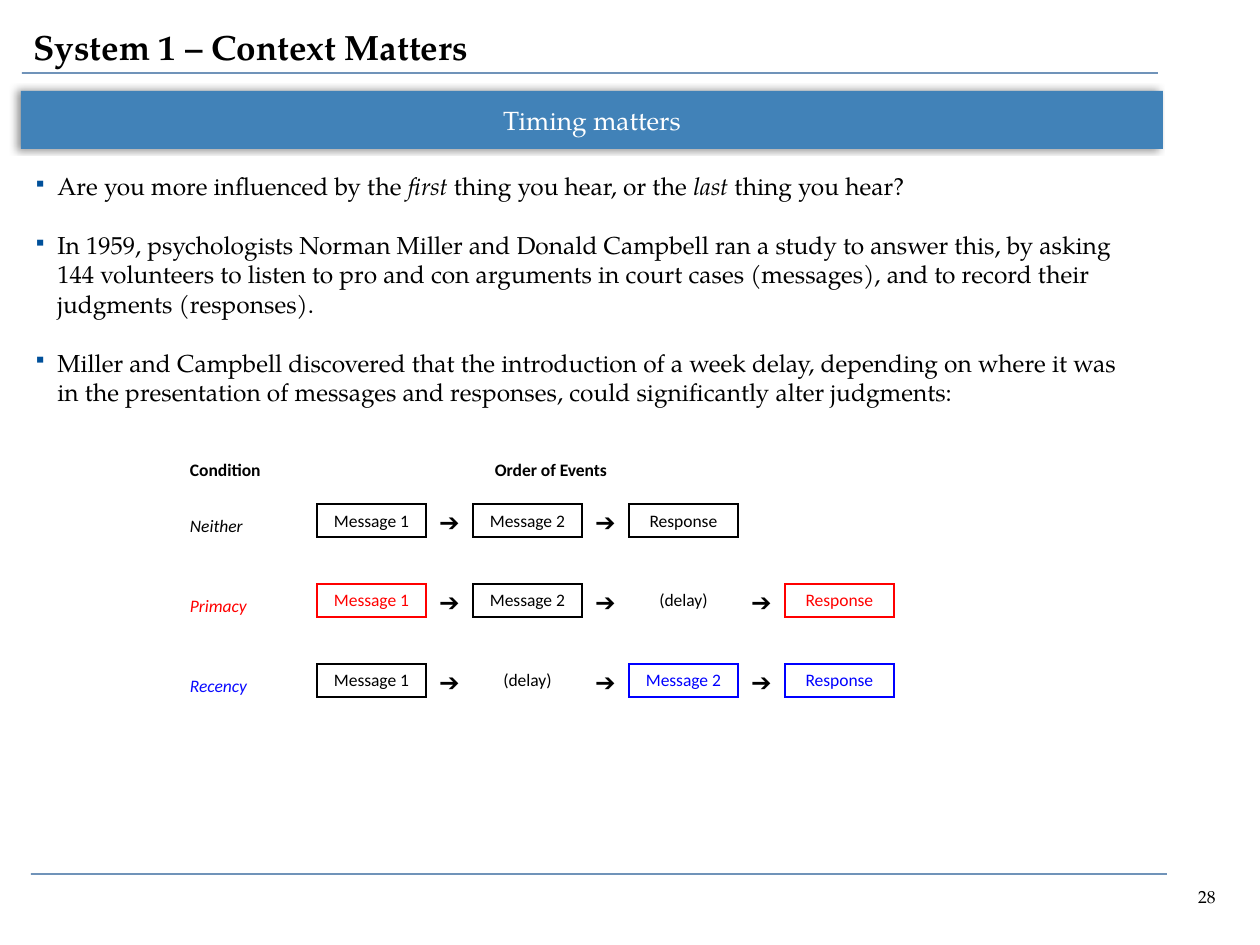
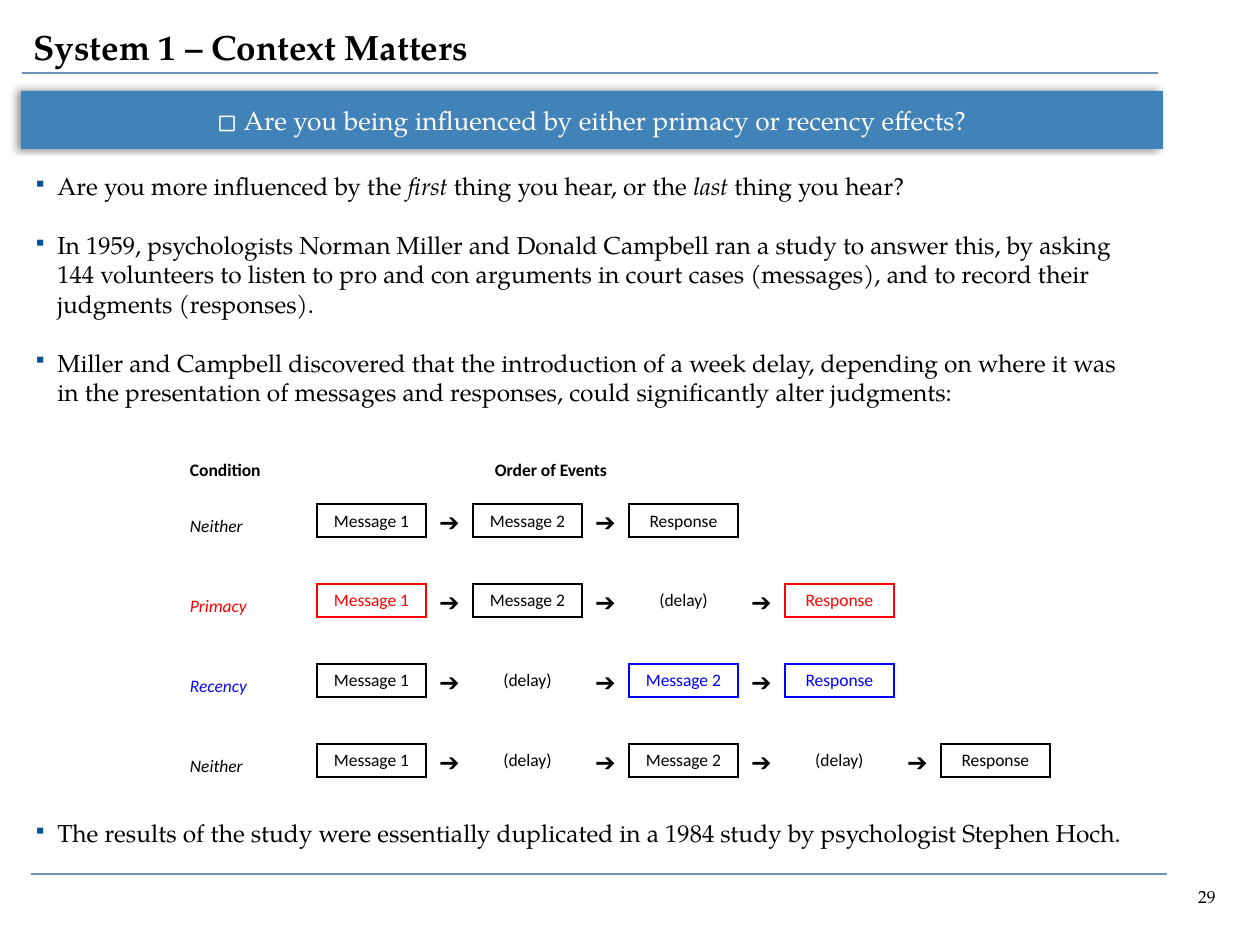
from lxml import etree
from pptx import Presentation
from pptx.dml.color import RGBColor
from pptx.enum.shapes import MSO_CONNECTOR, MSO_SHAPE
from pptx.enum.text import MSO_ANCHOR, PP_ALIGN
from pptx.oxml.ns import qn
from pptx.util import Emu, Pt

LEFT, CENTER, RIGHT = PP_ALIGN.LEFT, PP_ALIGN.CENTER, PP_ALIGN.RIGHT
TOP, MIDDLE, BOTTOM = MSO_ANCHOR.TOP, MSO_ANCHOR.MIDDLE, MSO_ANCHOR.BOTTOM
RECTANGLE = MSO_SHAPE.RECTANGLE
STRAIGHT = MSO_CONNECTOR.STRAIGHT

PX_PER_INCH = 126
BLANK_LAYOUT = 6
NO_TABLE_STYLE = "{2D5ABB26-0587-4C30-8999-92F81FD0307C}"

BLACK, WHITE, RED, BLUE = "000000", "FFFFFF", "FF0000", "0000FF"
LABEL_BLUE, RULE_BLUE, BULLET_BLUE, BANNER_BLUE = "0A0AFF", "124B8B", "00509A", "4182B8"
SERIF, SANS, SYMBOL = "TeX Gyre Pagella", "Calibri", "Arial"

BODY_LINE = 16.8
LABEL_WIDTH, LABEL_GAP, STEP_WIDTH, ARROW_WIDTH = 83, 45, 109, 47
STEP_COUNT = 5
HEADER_HEIGHT, GAP_ABOVE, STEP_HEIGHT, GAP_BELOW = 22, 23, 33, 24

TITLE = "System 1 – Context Matters"
BULLETS = [
    (0, [("Are you more influenced by the ", False), ("first", True),
         (" thing you hear, or the ", False), ("last", True),
         (" thing you hear?", False)]),
    (1, [("In 1959, psychologists Norman Miller and Donald Campbell ran a study to "
          "answer this, by asking 144 volunteers to listen to pro and con arguments in "
          "court cases (messages), and to record their judgments (responses).", False)]),
    (1, [("Miller and Campbell discovered that the introduction of a week delay, "
          "depending on where it was in the presentation of messages and responses, "
          "could significantly alter judgments:", False)]),
]
HOCH_BULLET = (14, [("The results of the study were essentially duplicated in a 1984 "
                     "study by psychologist Stephen Hoch.", False)])

MESSAGE_1, MESSAGE_2, RESPONSE, DELAY = "Message 1", "Message 2", "Response", "(delay)"
CONDITIONS = [
    ("Neither", BLACK, [(MESSAGE_1, BLACK), (MESSAGE_2, BLACK), (RESPONSE, BLACK)]),
    ("Primacy", RED, [(MESSAGE_1, RED), (MESSAGE_2, BLACK), (DELAY, BLACK),
                      (RESPONSE, RED)]),
    ("Recency", LABEL_BLUE, [(MESSAGE_1, BLACK), (DELAY, BLACK), (MESSAGE_2, BLUE),
                             (RESPONSE, BLUE)]),
]
TWO_DELAYS = ("Neither", BLACK, [(MESSAGE_1, BLACK), (DELAY, BLACK), (MESSAGE_2, BLACK),
                                 (DELAY, BLACK), (RESPONSE, BLACK)])


def px(length):
    return Emu(round(length * 914400 / PX_PER_INCH))


def rgb(color):
    return RGBColor.from_string(color)


def add_element(parent, tag, **attributes):
    element = etree.SubElement(parent, qn(tag))
    for name, value in attributes.items():
        element.set(name, str(value))
    return element


class Deck:
    def __init__(self):
        self.presentation = Presentation()
        self.presentation.slide_width = px(1260)
        self.presentation.slide_height = px(945)
        self.slide = None

    def new_slide(self, number):
        layout = self.presentation.slide_layouts[BLANK_LAYOUT]
        self.slide = self.presentation.slides.add_slide(layout)
        page = self.text_box(1144, 885, 84, 28, BOTTOM)
        self.run(page.paragraphs[0], str(number), 10, align=RIGHT)
        self.rule(22, 73)
        self.rule(31, 874)
        title = self.text_box(21, 19, 1216, 53)
        self.run(title.paragraphs[0], TITLE, 20, bold=True)

    def run(self, paragraph, text, size, font=SERIF, color=BLACK, bold=False,
            italic=False, align=LEFT):
        paragraph.alignment = align
        run = paragraph.add_run()
        run.text = text
        run.font.size = Pt(size)
        run.font.name = font
        run.font.color.rgb = rgb(color)
        run.font.bold = bold
        run.font.italic = italic

    def text_box(self, left, top, width, height, anchor=TOP):
        shape = self.slide.shapes.add_textbox(px(left), px(top), px(width), px(height))
        frame = shape.text_frame
        frame.word_wrap = True
        frame.vertical_anchor = anchor
        return frame

    def rule(self, left, top):
        line = self.slide.shapes.add_connector(
            STRAIGHT, px(left), px(top), px(left + 1136), px(top))
        line.line.color.rgb = rgb(RULE_BLUE)
        line.line.width = Pt(1)
        properties = line._element.spPr
        add_element(properties.find(".//" + qn("a:srgbClr")), "a:alpha", val=60000)
        add_element(properties, "a:effectLst")

    def banner(self, text):
        shape = self.slide.shapes.add_shape(RECTANGLE, px(21), px(91), px(1142), px(58))
        shape.fill.solid()
        shape.fill.fore_color.rgb = rgb(BANNER_BLUE)
        shape.line.fill.background()
        shape.shadow.inherit = False
        effects = shape._element.spPr.find(qn("a:effectLst"))
        shadow = add_element(effects, "a:outerShdw", blurRad=Pt(4), dist=Pt(3),
                             dir=180 * 60000, rotWithShape=0)
        shadow_color = add_element(shadow, "a:srgbClr", val=BLACK)
        add_element(shadow_color, "a:alpha", val=40000)
        shape.text_frame.vertical_anchor = MIDDLE
        self.run(shape.text_frame.paragraphs[0], text, 15, color=WHITE, align=CENTER)

    def bullets(self, items):
        frame = self.text_box(21, 165, 1134, 664)
        for index, (lines_before, runs) in enumerate(items):
            paragraph = frame.add_paragraph() if index else frame.paragraphs[0]
            if lines_before:
                paragraph.space_before = Pt(lines_before * BODY_LINE)
            properties = paragraph._p.get_or_add_pPr()
            properties.set("marL", str(px(24)))
            properties.set("indent", str(px(-24)))
            bullet_color = add_element(properties, "a:buClr")
            add_element(bullet_color, "a:srgbClr", val=BULLET_BLUE)
            add_element(properties, "a:buSzPct", val=75000)
            add_element(properties, "a:buChar", char="▪")
            for text, italic in runs:
                self.run(paragraph, text, 14, italic=italic)

    def cell(self, cell, text, size=10, font=SANS, anchor=MIDDLE, border=None, **style):
        cell.vertical_anchor = anchor
        self.run(cell.text_frame.paragraphs[0], text, size, font, **style)
        if border:
            properties = cell._tc.get_or_add_tcPr()
            for index, side in enumerate(("a:lnL", "a:lnR", "a:lnT", "a:lnB")):
                line = etree.Element(qn(side), w=str(Pt(1)))
                fill = add_element(line, "a:solidFill")
                add_element(fill, "a:srgbClr", val=border)
                properties.insert(index, line)

    def events_table(self, conditions, gap_after_last):
        widths = [LABEL_WIDTH, LABEL_GAP] + [STEP_WIDTH, ARROW_WIDTH] * STEP_COUNT
        widths.pop()
        heights = [HEADER_HEIGHT] + [GAP_ABOVE, STEP_HEIGHT, GAP_BELOW] * len(conditions)
        if not gap_after_last:
            heights.pop()
        frame = self.slide.shapes.add_table(
            len(heights), len(widths), px(189), px(459), px(sum(widths)), px(sum(heights)))
        table = frame.table
        table.first_row = table.horz_banding = False
        table._tbl.tblPr.find(qn("a:tableStyleId")).text = NO_TABLE_STYLE
        for column, width in zip(table.columns, widths):
            column.width = px(width)
        for row, height in zip(table.rows, heights):
            row.height = px(height)
        for cell in table.iter_cells():
            cell.margin_left = cell.margin_right = cell.margin_top = px(1)
            cell.margin_bottom = 0
            cell.fill.background()
            add_element(cell.text_frame.paragraphs[0]._p, "a:endParaRPr", sz=800)

        self.cell(table.cell(0, 0), "Condition", anchor=BOTTOM, bold=True)
        table.cell(0, 4).merge(table.cell(0, 5))
        self.cell(table.cell(0, 4), "Order of Events", bold=True, align=CENTER)
        for index, (label, label_color, steps) in enumerate(conditions):
            row = 2 + 3 * index
            self.cell(table.cell(row, 0), label, anchor=BOTTOM, color=label_color,
                      italic=True)
            for position, (text, color) in enumerate(steps):
                column = 2 + 2 * position
                if position:
                    self.cell(table.cell(row, column - 1), "➔", 14, SYMBOL, BOTTOM,
                              align=CENTER)
                self.cell(table.cell(row, column), text, color=color, align=CENTER,
                          border=None if text == DELAY else color)


def main():
    deck = Deck()

    deck.new_slide(28)
    deck.bullets(BULLETS)
    deck.banner("Timing matters")
    deck.events_table(CONDITIONS, gap_after_last=True)

    deck.new_slide(29)
    deck.bullets(BULLETS + [HOCH_BULLET])
    deck.banner("□ Are you being influenced by either primacy or recency effects?")
    deck.events_table(CONDITIONS + [TWO_DELAYS], gap_after_last=False)

    deck.presentation.save("out.pptx")


if __name__ == "__main__":
    main()
